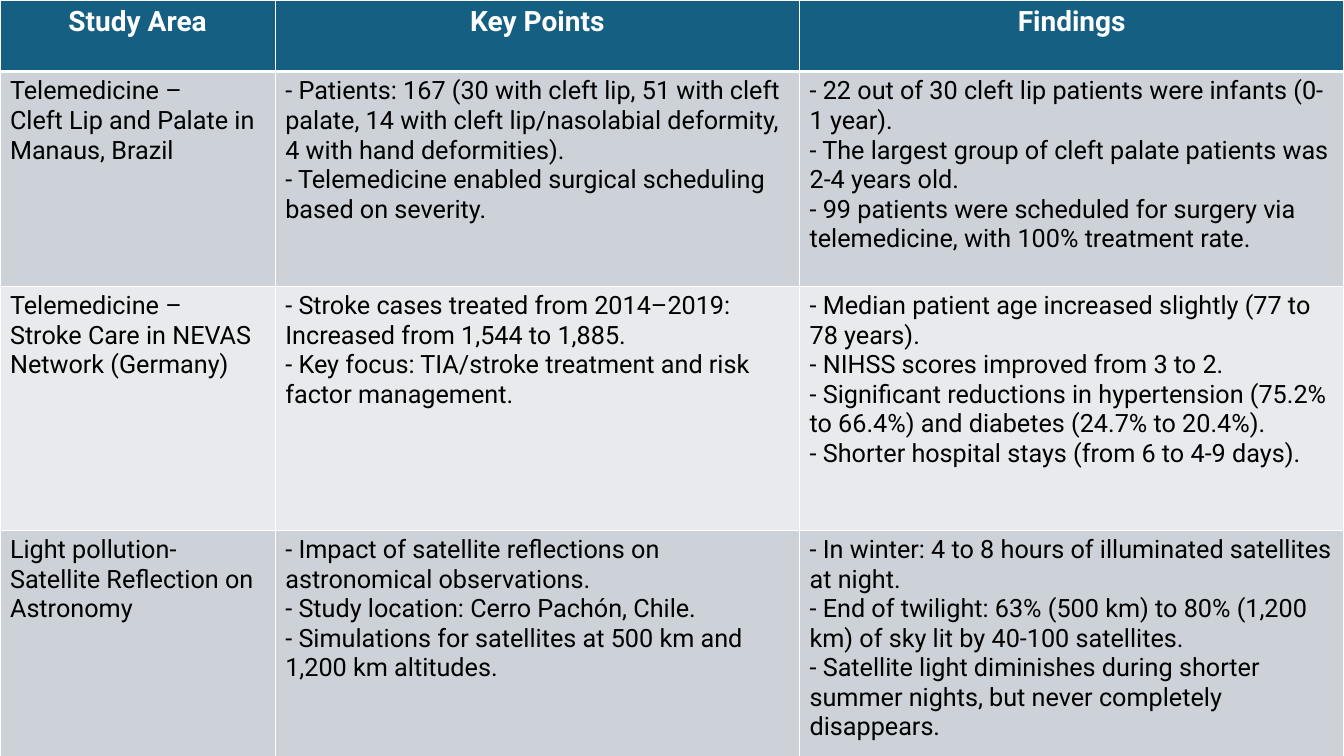
from lxml.etree import SubElement
from pptx import Presentation
from pptx.dml.color import RGBColor
from pptx.enum.text import PP_ALIGN as Align
from pptx.oxml.ns import qn
from pptx.util import Inches, Pt

WHITE = RGBColor(0xFF, 0xFF, 0xFF)
BLACK = RGBColor(0x00, 0x00, 0x00)
TEAL = RGBColor(0x15, 0x60, 0x82)
BAND_DARK = RGBColor(0xCC, 0xD2, 0xD8)
BAND_LIGHT = RGBColor(0xE8, 0xEA, 0xED)

COLUMN_WIDTHS = [2.73, 5.2, 5.4]
ROW_HEIGHTS = [0.71, 2.13, 2.42, 2.45]

HEADINGS = ["Study Area", "Key Points", "Findings"]
STUDIES = [
    [
        "Telemedicine –\nCleft Lip and Palate in Manaus, Brazil",
        "- Patients: 167 (30 with cleft lip, 51 with cleft palate, "
        "14 with cleft lip/nasolabial deformity, 4 with hand deformities).\n"
        "- Telemedicine enabled surgical scheduling based on severity.",
        "- 22 out of 30 cleft lip patients were infants (0-1 year).\n"
        "- The largest group of cleft palate patients was 2-4 years old.\n"
        "- 99 patients were scheduled for surgery via telemedicine, "
        "with 100% treatment rate.",
    ],
    [
        "Telemedicine –\nStroke Care in NEVAS Network (Germany)",
        "- Stroke cases treated from 2014–2019: Increased from 1,544 to 1,885.\n"
        "- Key focus: TIA/stroke treatment and risk factor management.",
        "- Median patient age increased slightly (77 to 78 years).\n"
        "- NIHSS scores improved from 3 to 2.\n"
        "- Significant reductions in hypertension (75.2% to 66.4%) "
        "and diabetes (24.7% to 20.4%).\n"
        "- Shorter hospital stays (from 6 to 4-9 days).",
    ],
    [
        "Light pollution-\nSatellite Reflection on Astronomy",
        "- Impact of satellite reflections on astronomical observations.\n"
        "- Study location: Cerro Pachón, Chile.\n"
        "- Simulations for satellites at 500 km and 1,200 km altitudes.",
        "- In winter: 4 to 8 hours of illuminated satellites at night.\n"
        "- End of twilight: 63% (500 km) to 80% (1,200 km) of sky lit "
        "by 40-100 satellites.\n"
        "- Satellite light diminishes during shorter summer nights, "
        "but never completely disappears.",
    ],
]


class StudySlide:
    font_name = "Roboto"
    heading_size = Pt(20)
    body_size = Pt(18)
    thin_rule = Pt(1)
    heading_rule = Pt(3)

    def __init__(self, prs):
        self.slide = prs.slides.add_slide(prs.slide_layouts[6])

    def add_table(self, rows, widths, heights):
        frame = self.slide.shapes.add_table(
            len(rows), len(widths), 0, 0, Inches(sum(widths)), Inches(sum(heights)))
        table = frame.table
        for column, width in zip(table.columns, widths):
            column.width = Inches(width)
        for row, height in zip(table.rows, heights):
            row.height = Inches(height)
        for i, texts in enumerate(rows):
            for j, text in enumerate(texts):
                self.fill_cell(table.cell(i, j), text, i)

    def fill_cell(self, cell, text, row):
        is_heading = row == 0
        cell.text_frame.text = text
        for p in cell.text_frame.paragraphs:
            p.alignment = Align.CENTER if is_heading else Align.LEFT
            for r in p.runs:
                r.font.name = self.font_name
                r.font.size = self.heading_size if is_heading else self.body_size
                r.font.bold = is_heading
                r.font.color.rgb = WHITE if is_heading else BLACK
        self.draw_borders(cell, row)
        cell.fill.solid()
        if is_heading:
            cell.fill.fore_color.rgb = TEAL
        else:
            cell.fill.fore_color.rgb = BAND_DARK if row % 2 else BAND_LIGHT

    def draw_borders(self, cell, row):
        """Give the cell white borders, heavier between heading and body."""
        heavy_side = {0: "lnB", 1: "lnT"}.get(row)
        props = cell._tc.get_or_add_tcPr()
        for side in ("lnL", "lnR", "lnT", "lnB"):
            width = self.heading_rule if side == heavy_side else self.thin_rule
            line = SubElement(props, qn(f"a:{side}"), w=str(width))
            fill = SubElement(line, qn("a:solidFill"))
            SubElement(fill, qn("a:srgbClr"), val=str(WHITE))


def main():
    prs = Presentation()
    prs.slide_width = Inches(13.33)
    prs.slide_height = Inches(7.5)
    s = StudySlide(prs)
    s.add_table([HEADINGS] + STUDIES, COLUMN_WIDTHS, ROW_HEIGHTS)
    prs.save("out.pptx")


if __name__ == "__main__":
    main()
